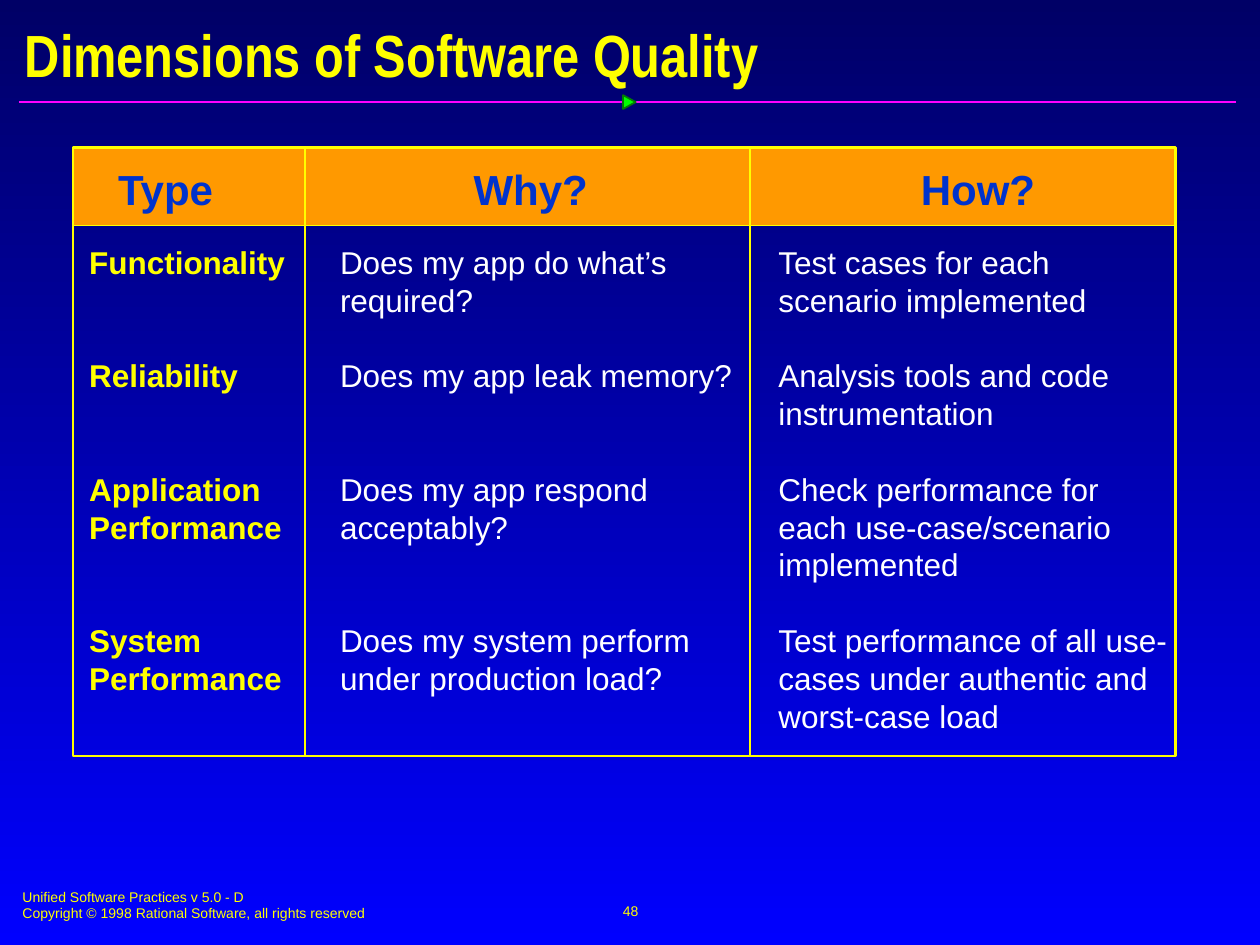
from lxml.etree import SubElement
from pptx import Presentation
from pptx.dml.color import RGBColor
from pptx.enum.shapes import MSO_CONNECTOR, MSO_SHAPE
from pptx.enum.text import MSO_ANCHOR as ANCHOR, PP_ALIGN as ALIGN
from pptx.oxml.ns import qn
from pptx.util import Inches, Pt

YELLOW = RGBColor(0xFF, 0xFF, 0x00)
WHITE = RGBColor(0xFF, 0xFF, 0xFF)
ORANGE = RGBColor(0xFF, 0x99, 0x00)
BLUE = RGBColor(0x00, 0x33, 0xCC)
MAGENTA = RGBColor(0xFF, 0x01, 0xFF)
GREEN = RGBColor(0x00, 0xFF, 0x00)
DARK_GREEN = RGBColor(0x03, 0x7C, 0x03)
NAVY = RGBColor(0x00, 0x00, 0x66)
BRIGHT_BLUE = RGBColor(0x00, 0x00, 0xFF)

TITLE = "Dimensions of Software Quality"
FOOTER = ["Unified Software Practices v 5.0 - D",
          "Copyright © 1998 Rational Software, all rights reserved"]
PAGE = "48"

# heading, heading left and width, body left and width, body colour,
# then (empty lines above, text) for each row
COLUMNS = [
    ("Type", 0.84, 1, 0.61, 1.87, YELLOW, [
        (0, "Functionality"),
        (2, "Reliability"),
        (2, "Application Performance"),
        (2, "System Performance")]),
    ("Why?", 3.66, 1.15, 2.6, 3.35, WHITE, [
        (0, "Does my app do what’s required?"),
        (1, "Does my app leak memory?"),
        (2, "Does my app respond acceptably?"),
        (2, "Does my system perform under production load?")]),
    ("How?", 7.21, 1.15, 6.08, 3.34, WHITE, [
        (0, "Test cases for each scenario implemented"),
        (1, "Analysis tools and code instrumentation"),
        (1, "Check performance for each use-case/scenario implemented"),
        (1, "Test performance of all use-cases under authentic and worst-case load")]),
]
LEFT, TOP, WIDTH, HEIGHT, HEAD_HEIGHT = 0.58, 1.17, 8.75, 4.83, 0.62
DIVIDERS = [2.42, 5.95]
LINE_PT = 21.6


def add_text(s, box, texts, size, color, font="Arial", bold=False, wrap=True,
             align=ALIGN.LEFT, anchor=ANCHOR.TOP, gaps=None):
    """Add a text box; gaps holds the points of space above each paragraph."""
    tf = s.shapes.add_textbox(*map(Inches, box)).text_frame
    tf.word_wrap = wrap
    tf.vertical_anchor = anchor
    for i, text in enumerate(texts):
        p = tf.paragraphs[0] if i == 0 else tf.add_paragraph()
        p.text = text
        p.alignment = align
        if gaps and gaps[i]:
            p.space_before = Pt(gaps[i])
        p.font.size, p.font.name, p.font.bold = Pt(size), font, bold
        p.font.color.rgb = color


def add_shape(s, kind, box, fill=None, line=None, width=1):
    sp = s.shapes.add_shape(kind, *map(Inches, box))
    sp.shadow.inherit = False
    if fill is None:
        sp.fill.background()
    else:
        sp.fill.solid()
        sp.fill.fore_color.rgb = fill
    if line is None:
        sp.line.fill.background()
    else:
        sp.line.color.rgb, sp.line.width = line, Pt(width)
    return sp


def add_line(s, x1, y1, x2, y2, color):
    line = s.shapes.add_connector(MSO_CONNECTOR.STRAIGHT, *map(Inches, (x1, y1, x2, y2)))
    line.line.color.rgb, line.line.width = color, Pt(1)
    SubElement(line._element.spPr, qn("a:effectLst"))


prs = Presentation()
prs.slide_width, prs.slide_height = Inches(10), Inches(7.5)
s = prs.slides.add_slide(prs.slide_layouts[6])

bg = s.background.fill
bg.gradient()
bg.gradient_angle = 270
for stop, color, position in zip(bg.gradient_stops, (NAVY, BRIGHT_BLUE), (0, 1)):
    stop.color.rgb, stop.position = color, position

add_line(s, 0.15, 0.81, 9.81, 0.81, MAGENTA)
marker = add_shape(s, MSO_SHAPE.ISOSCELES_TRIANGLE, (4.94, 0.76, 0.11, 0.1), GREEN, DARK_GREEN)
marker.rotation = 90
add_text(s, (0.08, 7, 5.1, 0.37), FOOTER, 8, YELLOW)
add_text(s, (3.42, 6.98, 3.17, 0.5), [PAGE], 8, YELLOW, wrap=False,
         align=ALIGN.CENTER, anchor=ANCHOR.MIDDLE)

add_shape(s, MSO_SHAPE.RECTANGLE, (LEFT, TOP, WIDTH, HEAD_HEIGHT), ORANGE)
add_text(s, (0.1, 0.14, 9.84, 0.58), [TITLE], 34, YELLOW, "Arial Narrow", True,
         anchor=ANCHOR.MIDDLE)
add_shape(s, MSO_SHAPE.RECTANGLE, (LEFT, TOP, WIDTH, HEIGHT), line=YELLOW, width=1.5)

for heading, head_x, head_w, x, w, color, rows in COLUMNS:
    gaps, texts = zip(*rows)
    add_text(s, (x, 1.88, w, 4), texts, 18, color, bold=color == YELLOW,
             gaps=[n * LINE_PT for n in gaps])
    add_text(s, (head_x, 1.25, head_w, 0.5), [heading], 24, BLUE, bold=True)

add_line(s, LEFT, TOP + HEAD_HEIGHT, LEFT + WIDTH, TOP + HEAD_HEIGHT, YELLOW)
for x in DIVIDERS:
    add_line(s, x, TOP, x, TOP + HEIGHT, YELLOW)

prs.save("out.pptx")
